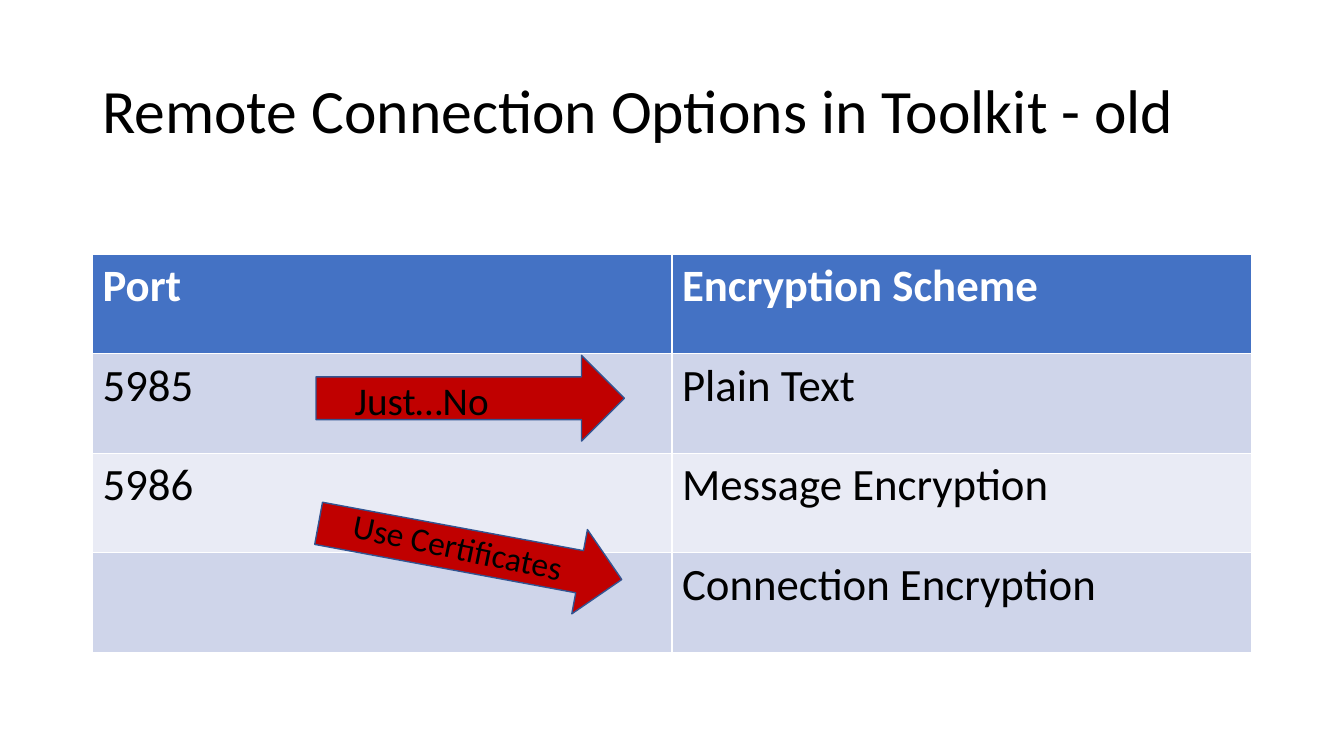
from pptx import Presentation
from pptx import util as u
from pptx.dml.color import RGBColor
from pptx.enum import shapes, text

BLACK, WHITE, RED, EDGE = "000000", "FFFFFF", "C00000", "325491"
HEAD, BANDS = "4472C4", ("CFD5EA", "E9EBF5")
ROWS = (
    ("Port", "Encryption Scheme"),
    ("5985", "Plain Text"),
    ("5986", "Message Encryption"),
    ("", "Connection Encryption"),
)


def paint(color, tone):
    color.rgb = RGBColor.from_string(tone)


def write(frame, words, size, tone=BLACK, bold=False):
    frame.text = words
    for run in frame.paragraphs[0].runs:
        run.font.name = "Calibri"
        run.font.size = u.Pt(size)
        run.font.bold = bold
        paint(run.font.color, tone)


def add_label(slide, box, words, size, turn=0):
    label = slide.shapes.add_textbox(*map(u.Cm, box))
    label.rotation = turn
    label.text_frame.word_wrap = True
    write(label.text_frame, words, size)
    return label.text_frame


def add_arrow(slide, top, turn):
    box = map(u.Cm, (10.77, top, 2.16, 7.77))
    arrow = slide.shapes.add_shape(shapes.MSO_SHAPE.DOWN_ARROW, *box)
    arrow.rotation = turn
    arrow.shadow.inherit = False
    arrow.fill.solid()
    paint(arrow.fill.fore_color, RED)
    paint(arrow.line.color, EDGE)
    arrow.line.width = u.Pt(1)


def add_grid(slide):
    box = map(u.Cm, (2.33, 6.4, 29.21, 10.04))
    grid = slide.shapes.add_table(len(ROWS), len(ROWS[0]), *box).table
    for i, row in enumerate(ROWS):
        for j, words in enumerate(row):
            cell = grid.cell(i, j)
            cell.fill.solid()
            paint(cell.fill.fore_color, BANDS[(i - 1) % 2] if i else HEAD)
            write(cell.text_frame, words, 32, BLACK if i else WHITE, i == 0)


def main():
    deck = Presentation()
    deck.slide_width, deck.slide_height = u.Cm(33.87), u.Cm(19.05)
    slide = deck.slides.add_slide(deck.slide_layouts[6])

    # Title
    title = add_label(slide, (2.33, 1.01, 29.21, 3.68),
                      "Remote Connection Options in Toolkit - old", 44)
    title.vertical_anchor = text.MSO_ANCHOR.MIDDLE
    title.paragraphs[0].line_spacing = 0.9

    # Ports and their encryption
    add_grid(slide)

    # Arrows with advice
    add_arrow(slide, 6.15, 270)
    add_arrow(slide, 10.01, 280.5)
    add_label(slide, (8.61, 13.18, 6.32, 1.27), "Use Certificates", 24, 11.7)
    add_label(slide, (8.69, 9.35, 6.32, 1.45), "Just…No", 28)

    deck.save("out.pptx")


if __name__ == "__main__":
    main()
